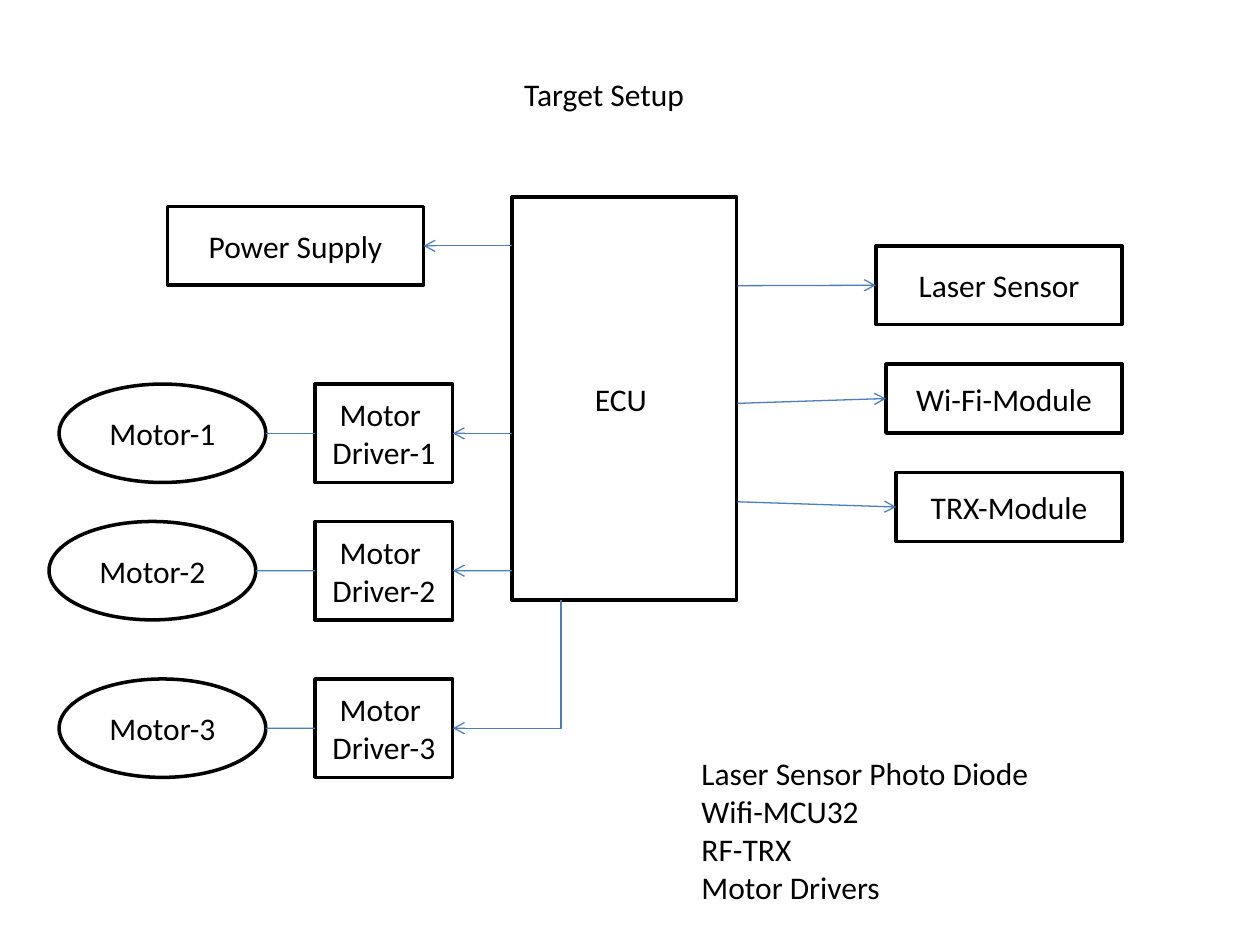
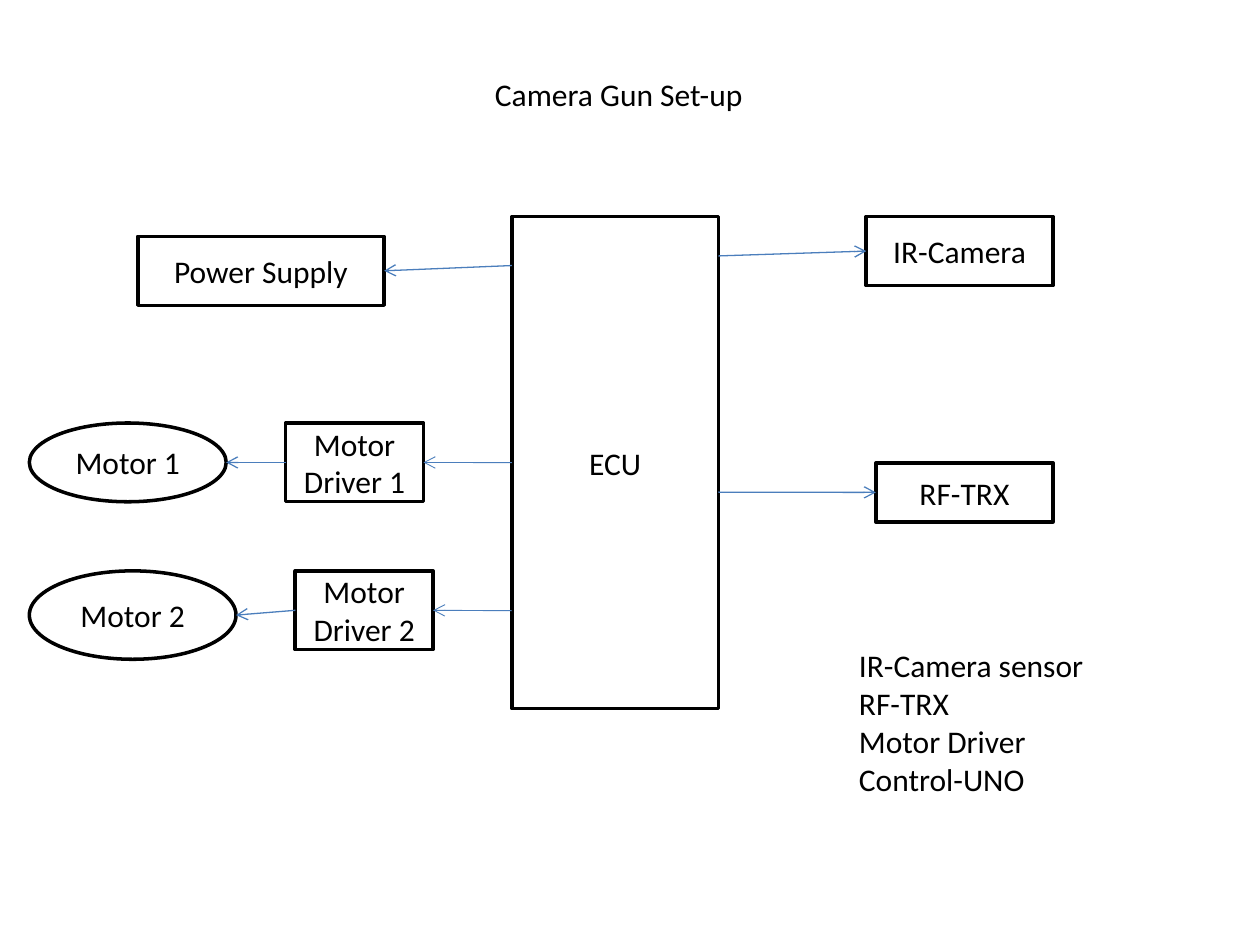
from pptx import Presentation
from pptx.dml.color import RGBColor
from pptx.enum.shapes import MSO_CONNECTOR, MSO_SHAPE
from pptx.enum.text import MSO_ANCHOR, MSO_AUTO_SIZE, PP_ALIGN
from pptx.oxml.ns import qn
from pptx.util import Pt
from lxml.etree import SubElement

HUES = {"ink": "000000", "paper": "FFFFFF", "wire": "4B7EBC"}
TOP, LEFT, BOTTOM, RIGHT = range(4)


class Board:
    """Holds the style and the current slide."""

    font, size, edge, thin = "Calibri", 18, 2, 0.75

    def __init__(self):
        self.deck = Presentation()
        self.deck.slide_width, self.deck.slide_height = Pt(720), Pt(540)

    def page(self):
        self.slide = self.deck.slides.add_slide(self.deck.slide_layouts[6])

    def hue(self, name):
        return RGBColor.from_string(HUES[name])

    def label(self, frame, lines, align):
        for i, line in enumerate(lines):
            para = frame.paragraphs[0] if i == 0 else frame.add_paragraph()
            para.alignment = align
            run = para.add_run()
            run.text = line
            run.font.name, run.font.size = self.font, Pt(self.size)
            run.font.color.rgb = self.hue("ink")

    def node(self, kind, area, *lines):
        item = self.slide.shapes.add_shape(kind, *map(Pt, area))
        item.shadow.inherit = False
        item.fill.solid()
        item.fill.fore_color.rgb = self.hue("paper")
        item.line.color.rgb = self.hue("ink")
        item.line.width = Pt(self.edge)
        item.text_frame.vertical_anchor = MSO_ANCHOR.MIDDLE
        self.label(item.text_frame, lines, PP_ALIGN.CENTER)
        return item

    def box(self, area, *lines):
        return self.node(MSO_SHAPE.RECTANGLE, area, *lines)

    def oval(self, area, *lines):
        return self.node(MSO_SHAPE.OVAL, area, *lines)

    def note(self, area, *lines):
        frame = self.slide.shapes.add_textbox(*map(Pt, area)).text_frame
        frame.word_wrap = False
        frame.auto_size = MSO_AUTO_SIZE.SHAPE_TO_FIT_TEXT
        self.label(frame, lines, PP_ALIGN.LEFT)

    def trim(self, wire, arrow, width):
        wire.line.color.rgb = self.hue("wire")
        wire.line.width = Pt(width)
        shape = wire._element.spPr
        if arrow:
            SubElement(shape.find(qn("a:ln")), qn("a:tailEnd"), type="arrow")
        SubElement(shape, qn("a:effectLst"))

    def link(self, start, end, arrow=True, width=thin):
        """Each end is a point (x, y) or a pair (box, side)."""
        spots = [(0, 0) if hasattr(e[0], "left") else e for e in (start, end)]
        wire = self.slide.shapes.add_connector(
            MSO_CONNECTOR.STRAIGHT, *(Pt(v) for spot in spots for v in spot))
        for spot, join in ((start, wire.begin_connect), (end, wire.end_connect)):
            if hasattr(spot[0], "left"):
                join(*spot)
        self.trim(wire, arrow, width)

    def bend(self, start, end):
        """Runs down from start, then left to end, as a quarter-turned elbow."""
        (x1, y1), (x2, y2) = start, end
        wide, high = y2 - y1, x1 - x2
        left, top = (x1 + x2 - wide) / 2, (y1 + y2 - high) / 2
        wire = self.slide.shapes.add_connector(
            MSO_CONNECTOR.ELBOW, Pt(left), Pt(top), Pt(left + wide), Pt(top + high))
        shape = wire._element.spPr
        shape.find(qn("a:xfrm")).set("rot", str(90 * 60000))
        shape.find(qn("a:prstGeom")).set("prst", "bentConnector2")
        self.trim(wire, True, self.thin)


def target(b):
    b.page()
    # Control unit and power
    left, right = 292.5, 421.5
    b.box((left, 112.5, 128.5, 230.5), "ECU ")
    power = b.box((95.75, 118, 146.25, 45), "Power Supply")
    b.link((left, 140.5), (power, RIGHT))

    # Motors with their drivers
    for num, (x, y) in enumerate(((33.75, 219.5), (28, 298), (33.75, 388)), 1):
        mid = y + 28.13
        drive = b.box((180, y, 78.75, 56.25), "Motor ", f"Driver-{num}")
        b.oval((x, y, 118.13, 56.25), f"Motor-{num}")
        b.link((drive, LEFT), (x + 118.13, mid), arrow=False)
        if num < 3:
            b.link((left, mid), (drive, RIGHT))
        else:
            b.bend((320.5, 343), (258.75, mid))

    # Modules, all ending at the same right edge
    edge = 641.25
    for name, x, y, high, out in (("Laser Sensor", 500.5, 140.5, 45, 163.25),
                                  ("Wi-Fi-Module", 506.25, 208, 39.5, 230.5),
                                  ("TRX-Module", 512, 270, 39.5, 286.75)):
        part = b.box((x, y, edge - x, high), name)
        b.link((right, out), (part, LEFT))

    # Parts list and title
    b.note((393.75, 427.5, 203.75, 94.5), "Laser Sensor Photo Diode",
           "Wifi-MCU32", "RF-TRX", "Motor Drivers")
    b.note((292.5, 39.5, 107.5, 29), "Target Setup")


def camera(b):
    b.page()
    # Control unit and power
    left, right = 292.5, 410.5
    ecu = b.box((left, 123.75, 118, 281.25), "ECU")
    power = b.box((78.75, 135, 140.75, 39.5), "Power Supply")
    b.link((left, 151.75), (power, RIGHT))

    # Motors with their drivers
    for num, x, y, wide, high, start in (
            (1, 163.25, 241.75, 112.5, 45, (ecu, LEFT)),
            (2, 168.75, 326.25, 118.13, 50.5, (left, 349))):
        drive = b.box((x, y, 78.75, 45), "Motor", f"Driver {num}")
        b.oval((16.75, y, wide, high), f"Motor {num}")
        b.link(start, (drive, RIGHT), width=0.5)
        b.link((drive, LEFT), (16.75 + wide, y + high / 2))

    # Modules, both ending at the same right edge
    edge = 601.75
    for name, x, y, high, out in (("IR-Camera", 495, 123.75, 39.5, 146.25),
                                  ("RF-TRX", 500.5, 264.5, 33.75, 281.25)):
        part = b.box((x, y, edge - x, high), name)
        b.link((right, out), (part, LEFT))

    # Title and parts list
    b.note((275.75, 39.5, 158.25, 29), "Camera Gun Set-up")
    b.note((483.75, 365.75, 144, 94.5), "IR-Camera sensor",
           "RF-TRX", "Motor Driver", "Control-UNO")


def main():
    board = Board()
    target(board)
    camera(board)
    board.deck.save("out.pptx")


if __name__ == "__main__":
    main()
